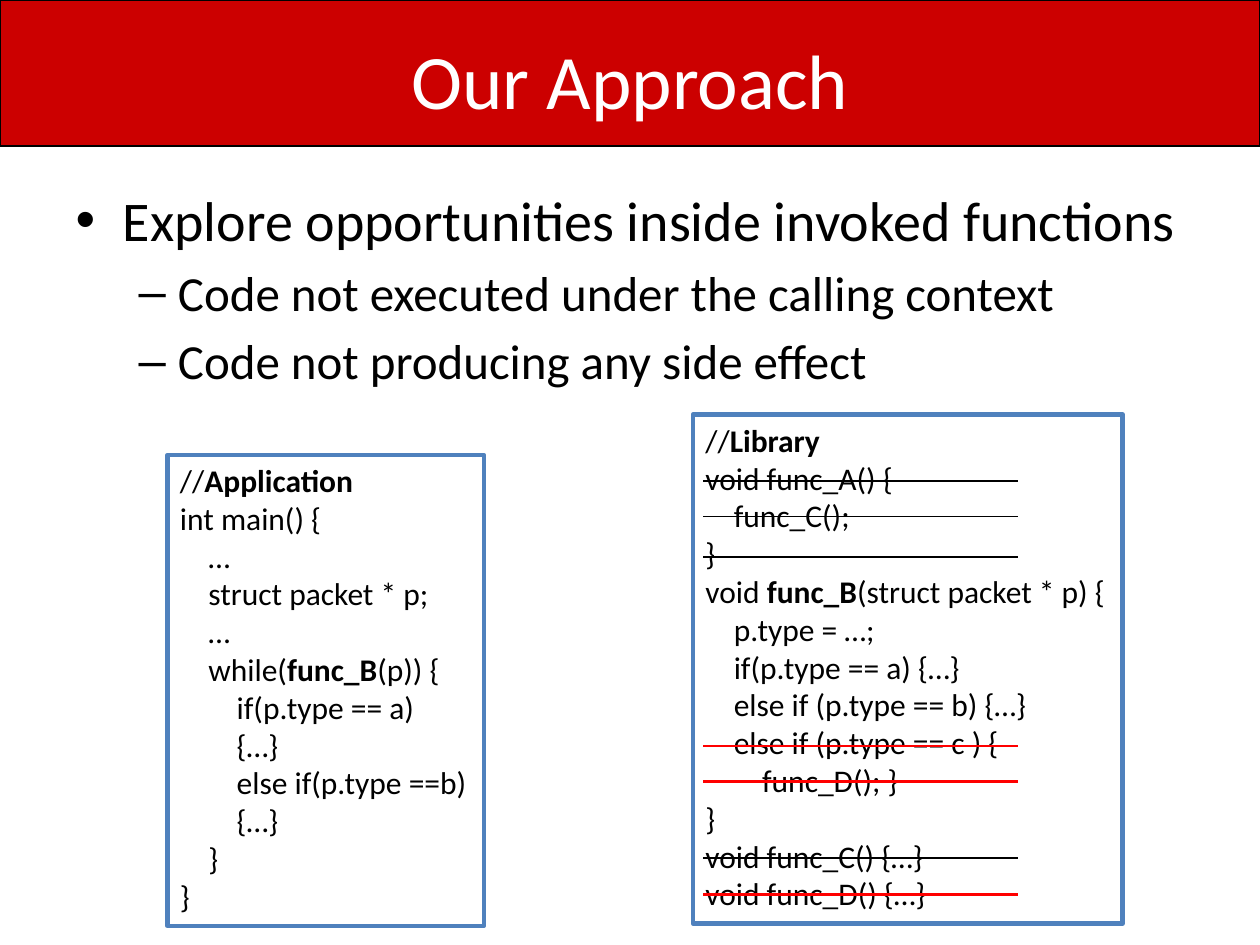
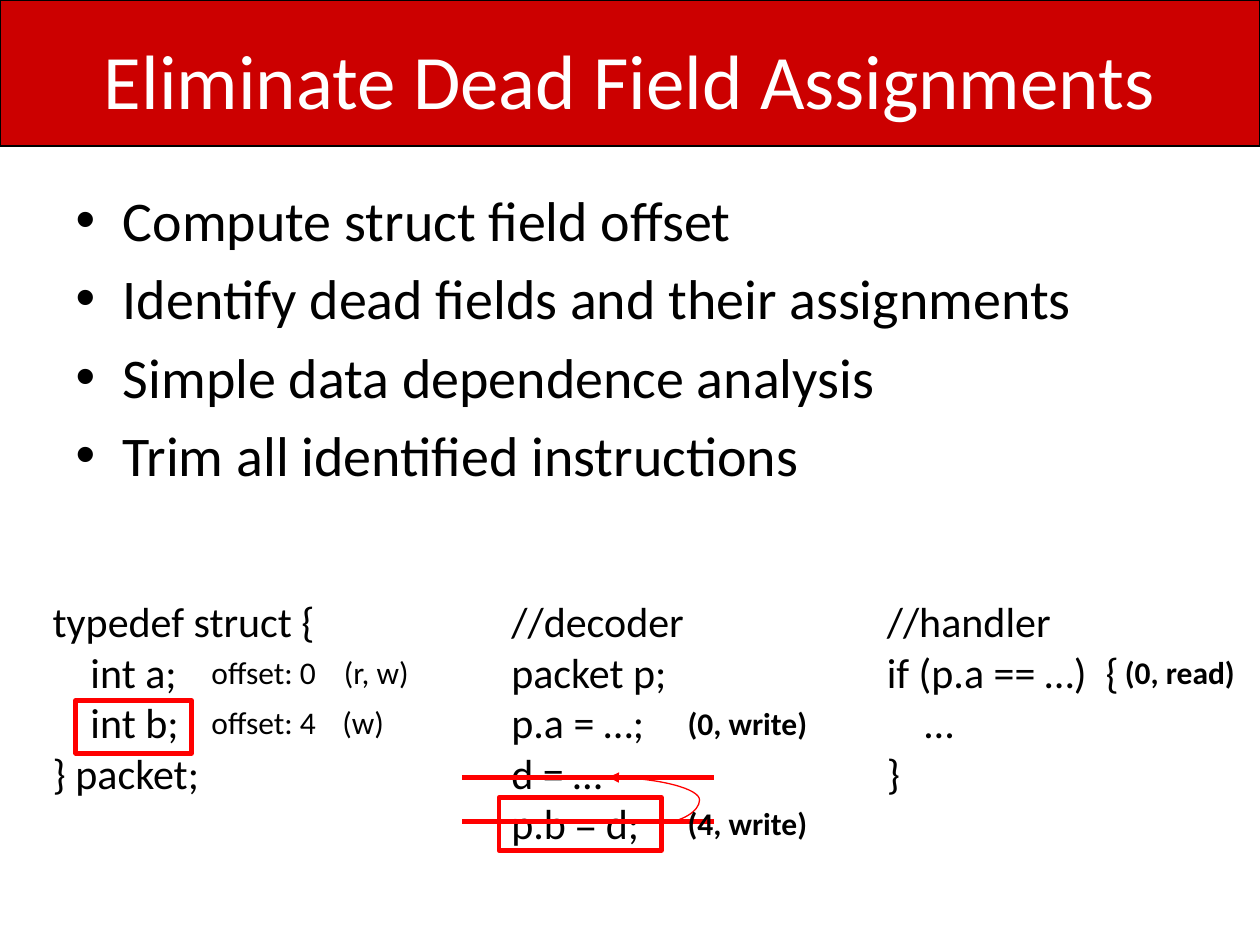
from lxml import etree
from pptx import Presentation
from pptx.dml.color import RGBColor
from pptx.enum.shapes import MSO_CONNECTOR as CONN, MSO_SHAPE as SHAPE
from pptx.enum.text import MSO_ANCHOR as ANCHOR, MSO_AUTO_SIZE as AUTO, PP_ALIGN as ALIGN
from pptx.oxml.ns import qn
from pptx.util import Inches, Pt

COLORS = {
    "band": "CC0000",
    "title": "FFFFFF",
    "text": "000000",
    "frame": "4F81BD",
    "mark": "FF0000",
}
FONT = "Calibri"
BODY_SIZES = (32, 28)
INDENT_PER_PT = 0.0125  # inches of code indent per level and point of text size


def rgb(name):
    return RGBColor.from_string(COLORS[name])


class Deck:
    """Holds the shared style and the slide being built."""

    def __init__(self):
        self.prs = Presentation()
        self.prs.slide_width, self.prs.slide_height = Inches(10), Inches(7.5)
        self.s = None

    def style(self, p, size, color="text"):
        p.font.name, p.font.size = FONT, Pt(size)
        p.font.color.rgb = rgb(color)

    def place(self, shape, x, y, w, h):
        shape.left, shape.top = Inches(x), Inches(y)
        shape.width, shape.height = Inches(w), Inches(h)

    def slide(self, title, bullets):
        """Start a slide with its band, title and (level, text) bullets."""
        self.s = self.prs.slides.add_slide(self.prs.slide_layouts[1])
        band = self.box(0, 0, 10, 1.16, "text", 1, fill="band")
        self.s.shapes._spTree.insert(2, band._element)  # behind the title

        head = self.s.shapes.title
        self.place(head, 0.5, 0, 9, 1.25)
        tf = head.text_frame
        tf.text, tf.vertical_anchor = title, ANCHOR.MIDDLE
        tf.paragraphs[0].alignment = ALIGN.CENTER
        self.style(tf.paragraphs[0], 44, "title")

        body = self.s.placeholders[1]
        self.place(body, 0.5, 1.42, 9, 4.95)
        tf = body.text_frame
        tf.auto_size = AUTO.NONE
        tf.text = "\n".join(text for _, text in bullets)
        for p, (level, _) in zip(tf.paragraphs, bullets):
            p.level = level
            self.style(p, BODY_SIZES[level])

    def box(self, x, y, w, h, line, width, fill=None):
        """Draw a rectangle, open unless a fill is named."""
        sp = self.s.shapes.add_shape(SHAPE.RECTANGLE, Inches(x), Inches(y), Inches(w), Inches(h))
        sp.shadow.inherit = False
        if fill:
            sp.fill.solid()
            sp.fill.fore_color.rgb = rgb(fill)
        else:
            sp.fill.background()
        sp.line.color.rgb, sp.line.width = rgb(line), Pt(width)
        return sp

    def code(self, x, y, w, h, lines, size, frame=None):
        """Write (level, text) code lines; **text** is bold."""
        sp = self.s.shapes.add_textbox(Inches(x), Inches(y), Inches(w), Inches(h))
        if frame:
            sp.line.color.rgb, sp.line.width = rgb(frame), Pt(2.5)
        tf = sp.text_frame
        tf.word_wrap, tf.auto_size = False, AUTO.SHAPE_TO_FIT_TEXT
        for i, (level, text) in enumerate(lines):
            p = tf.add_paragraph() if i else tf.paragraphs[0]
            self.style(p, size)
            if level:
                p._p.get_or_add_pPr().set("marL", str(Inches(level * size * INDENT_PER_PT)))
            for j, part in enumerate(text.split("**")):
                if part:
                    r = p.add_run()
                    r.text = part
                    if j % 2:
                        r.font.bold = True

    def label(self, x, y, w, text):
        self.code(x, y, w, 0.4, [(0, text)], 18)

    def line(self, x1, y1, x2, y2, color, width, kind=CONN.STRAIGHT):
        cx = self.s.shapes.add_connector(kind, Inches(x1), Inches(y1), Inches(x2), Inches(y2))
        cx.line.color.rgb, cx.line.width = rgb(color), Pt(width)
        etree.SubElement(cx._element.spPr, qn("a:effectLst"))
        return cx

    def curved_arrow(self, x1, y1, x2, y2, color, width, bend):
        """Draw a curved arrow; bend is its turning point as a share of its width."""
        cx = self.line(x1, y1, x2, y2, color, width, CONN.CURVE)
        guides = cx._element.spPr.find(qn("a:prstGeom")).get_or_add_avLst()
        etree.SubElement(guides, qn("a:gd"), name="adj1", fmla=f"val {round(bend * 100000)}")
        etree.SubElement(cx.line._get_or_add_ln(), qn("a:tailEnd"), type="triangle")


def build_approach(deck):
    deck.slide("Our Approach", [
        (0, "Explore opportunities inside invoked functions"),
        (1, "Code not executed under the calling context"),
        (1, "Code not producing any side effect"),
    ])

    # Application and library code
    application = [
        (0, "//**Application**"),
        (0, "int main() {"),
        (1, "…"),
        (1, "struct packet * p;"),
        (1, "…"),
        (1, "while(**func_B**(p)) {"),
        (2, "if(p.type == a)"),
        (2, "{…}"),
        (2, "else if(p.type ==b)"),
        (2, "{…}"),
        (1, "}"),
        (0, "}"),
    ]
    library = [
        (0, "//**Library**"),
        (0, "void func_A() {"),
        (1, "func_C();"),
        (0, "}"),
        (0, "void **func_B**(struct packet * p) {"),
        (1, "p.type = …;"),
        (1, "if(p.type == a) {…}"),
        (1, "else if (p.type == b) {…}"),
        (1, "else if (p.type == c ) {"),
        (2, "func_D(); }"),
        (0, "}"),
        (0, "void func_C() {…}"),
        (0, "void func_D() {…}"),
    ]
    deck.code(1.33, 3.61, 2.51, 3.74, application, 18, "frame")
    deck.code(5.5, 3.29, 3.41, 4.04, library, 18, "frame")

    # Trimmed code: black is never called, red has no side effect
    strikes = {("text", 1): (3.82, 4.1, 4.42, 6.81), ("mark", 1.5): (5.92, 6.2, 7.1)}
    for (color, width), rows in strikes.items():
        for y in rows:
            deck.line(5.58, y, 8.08, y, color, width)


def build_dead_fields(deck):
    deck.slide("Eliminate Dead Field Assignments", [
        (0, "Compute struct field offset"),
        (0, "Identify dead fields and their assignments"),
        (0, "Simple data dependence analysis"),
        (0, "Trim all identified instructions"),
    ])

    # Struct, decoder and handler code
    struct = [(0, "typedef struct {"), (1, "int a;"), (1, "int b;"), (0, "} packet;")]
    decoder = [(0, text) for text in
               ("//decoder", "packet p;", "p.a = …;", "d = …", "p.b = d;")]
    handler = [(0, "//handler"), (0, "if (p.a == …)  {"), (1, "…"), (0, "}")]
    deck.code(0.32, 4.68, 2.3, 1.72, struct, 24)
    deck.code(3.96, 4.68, 1.59, 2.12, decoder, 24)
    deck.code(6.94, 4.68, 2.06, 1.72, handler, 24)

    # Dead field and its assignment
    deck.box(0.6, 5.56, 0.92, 0.42, "mark", 2.5)
    deck.box(3.96, 6.33, 1.29, 0.42, "mark", 2.5)
    deck.curved_arrow(5.25, 6.53, 4.83, 6.17, "mark", 0.75, bend=-0.72)
    for y in (6.52, 6.17):
        deck.line(3.67, y, 5.67, y, "mark", 2.5)

    # Offsets and accesses
    for x, y, w, text in [
        (1.58, 5.13, 1.05, "offset: 0"),
        (1.58, 5.53, 1.05, "offset: 4"),
        (2.63, 5.13, 0.72, "(r, w)"),
        (2.62, 5.53, 0.54, "(w)"),
        (5.36, 5.54, 1.16, "**(0, write)**"),
        (5.36, 6.33, 1.16, "**(4, write)**"),
        (8.83, 5.13, 1.08, "**(0, read)**"),
    ]:
        deck.label(x, y, w, text)


def main():
    deck = Deck()
    build_approach(deck)
    build_dead_fields(deck)
    deck.prs.save("out.pptx")


if __name__ == "__main__":
    main()
